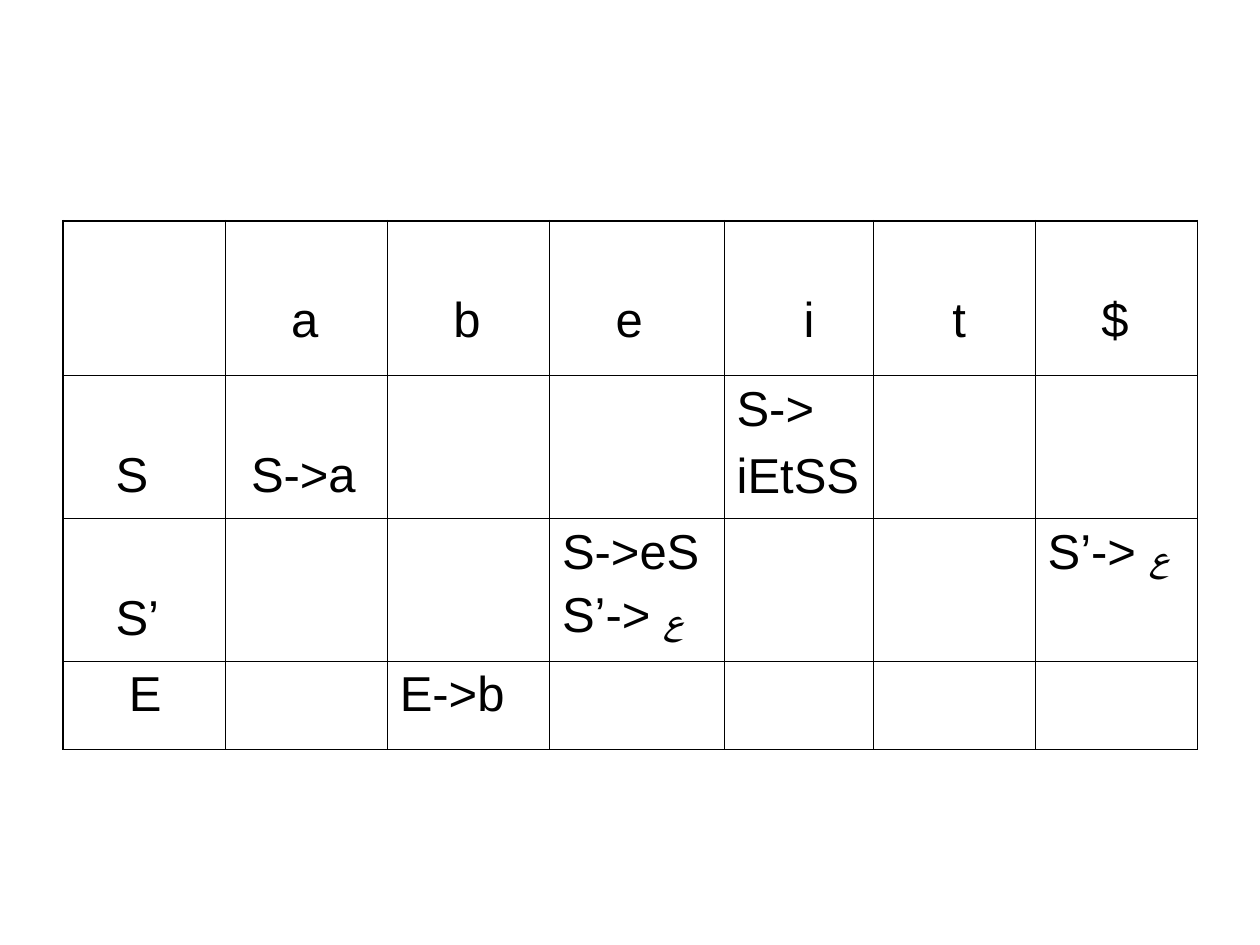
from pptx import Presentation
from pptx.dml.color import RGBColor
from pptx.oxml.ns import qn
from pptx.util import Cm, Pt
from lxml.etree import SubElement

COLORS = {"ink": "000000"}
EPSILON = "ع"
SPACE = 0.27
LINE_DROP = 1.34
COLUMNS = [3.27, 3.27, 3.27, 3.52, 3, 3.27, 3.27]
ROWS = [3.12, 2.88, 2.88, 1.78]

HEADINGS = {"a": 4, "b": 4, "e": 4, "i": 5, "t": 5, "$": 4}
ENTRIES = {
    (1, 0): (["S"], 3, 1),
    (1, 1): (["S->a"], 1, 1),
    (1, 4): (["S->", "iEtSS"], 0, 0),
    (2, 0): (["S’"], 3, 1),
    (2, 3): (["S->eS", "S’-> ع"], 0, 0),
    (2, 6): (["S’-> ع"], 0, 0),
    (3, 0): (["E"], 4, 0),
    (3, 2): (["E->b"], 0, 0),
}
for column, (symbol, indent) in enumerate(HEADINGS.items(), 1):
    ENTRIES[0, column] = ([symbol], indent, 1)


def add_span(para, text, size=28, bold=False, italic=False, color="ink", name="Arial"):
    span = para.add_run()
    span.text = text
    span.font.name = name
    span.font.size = Pt(size)
    span.font.bold = bold
    span.font.italic = italic
    span.font.color.rgb = RGBColor.from_string(COLORS[color])


class Slide:
    thin = 0.45
    thick = 1.08

    def __init__(self, deck):
        self.page = deck.slides.add_slide(deck.slide_layouts[6])

    def add_border(self, cell, side, width):
        line = SubElement(cell._tc.get_or_add_tcPr(), qn(f"a:ln{side}"), w=str(Pt(width)))
        fill = SubElement(line, qn("a:solidFill"))
        SubElement(fill, qn("a:srgbClr"), val=COLORS["ink"])

    def add_text(self, cell, lines, indent, drop):
        cell.margin_left = Cm(0.25 + indent * SPACE)
        cell.margin_top = Cm(0.13 + drop * LINE_DROP)
        for number, line in enumerate(lines):
            para = cell.text_frame.paragraphs[0]
            if number:
                para = cell.text_frame.add_paragraph()
                para.space_before = Pt(5 if EPSILON in line else 7)
            words, epsilon, _ = line.partition(EPSILON)
            add_span(para, words)
            if epsilon:
                add_span(para, epsilon, size=20, bold=True, italic=True)

    def add_grid(self, left, top, columns, rows, entries):
        frame = self.page.shapes.add_table(
            len(rows), len(columns), Cm(left), Cm(top), Cm(sum(columns)), Cm(sum(rows)))
        table = frame.table
        table.first_row = False
        table.horz_banding = False
        for column, width in zip(table.columns, columns):
            column.width = Cm(width)
        for row, height in zip(table.rows, rows):
            row.height = Cm(height)
        for r in range(len(rows)):
            for c in range(len(columns)):
                cell = table.cell(r, c)
                outer = {"L": c == 0, "R": c == len(columns) - 1,
                         "T": r == 0, "B": r == len(rows) - 1}
                for side, is_outer in outer.items():
                    self.add_border(cell, side, self.thick if is_outer else self.thin)
                cell.fill.background()
                if (r, c) in entries:
                    self.add_text(cell, *entries[r, c])


def main():
    deck = Presentation()
    deck.slide_width = Cm(25.4)
    deck.slide_height = Cm(19.05)
    Slide(deck).add_grid(1.27, 4.45, COLUMNS, ROWS, ENTRIES)
    deck.save("out.pptx")


if __name__ == "__main__":
    main()
